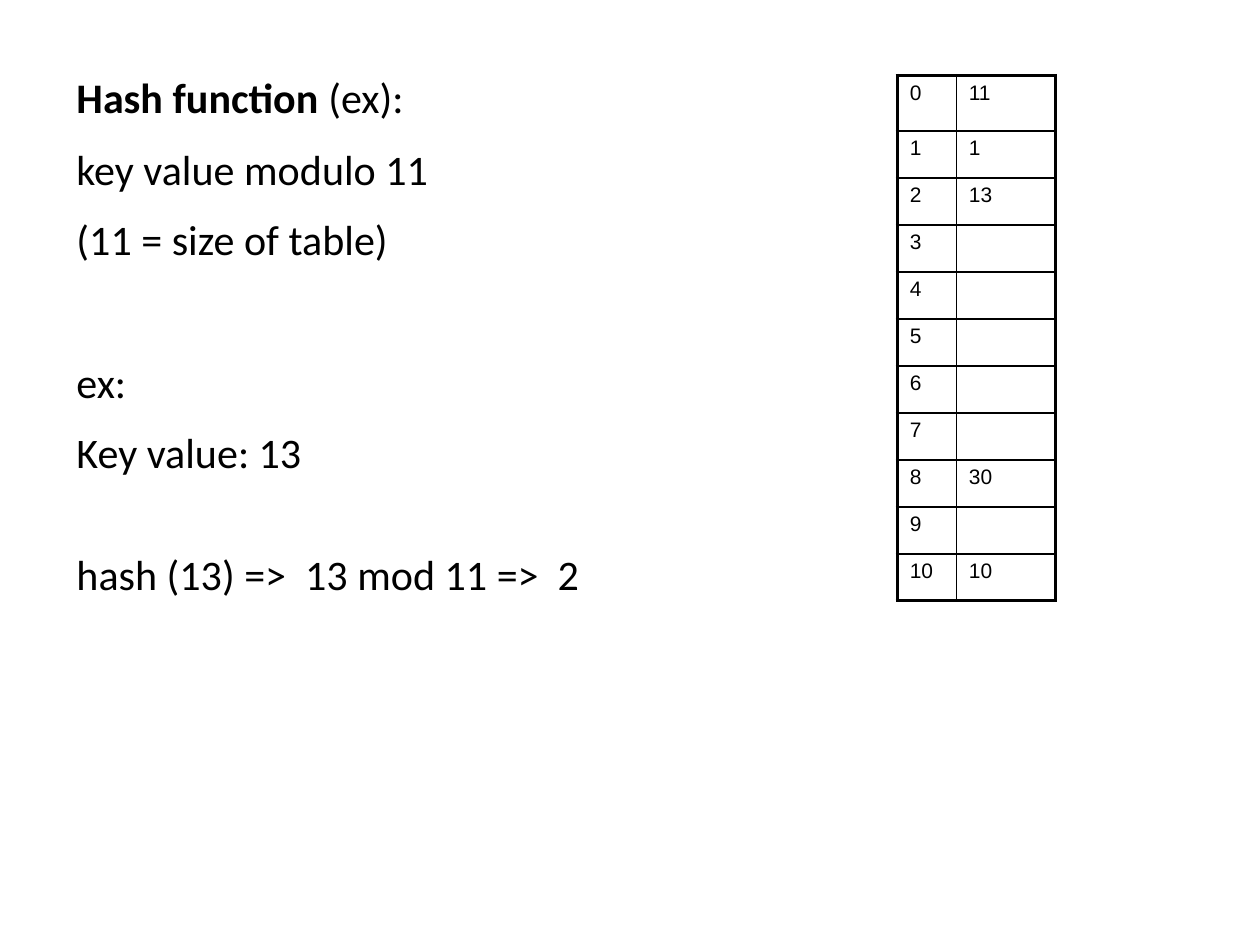
from dataclasses import dataclass

from lxml.etree import SubElement
from pptx import Presentation
from pptx.dml.color import RGBColor
from pptx.enum.text import MSO_ANCHOR, MSO_AUTO_SIZE, PP_ALIGN
from pptx.oxml.ns import qn
from pptx.util import Pt


@dataclass(frozen=True)
class Theme:
    ink: RGBColor = RGBColor(0, 0, 0)
    body_font: str = "Calibri"
    body_size: float = 26.1
    table_font: str = "Arial"
    table_size: float = 13
    thin: float = 1
    thick: float = 2.25


THEME = Theme()
LEFT, TOP, WIDTH, BOTTOM = 40.3, 41, 474.5, 396
GAP = 12.5
LINE = 31.9
BUCKETS = ["11", "1", "13", "", "", "", "", "", "30", "", "10"]
EXPLANATION = [
    ("key value modulo 11", 0),
    ("(11 = size of table)", GAP),
    ("ex:", LINE + 2 * GAP),
    ("Key value: 13", GAP),
    ("hash (13) =>  13 mod 11 =>  2", LINE + GAP),
]


def write(paragraph, text, font=THEME.body_font, size=THEME.body_size, bold=False, before=0):
    paragraph.alignment = PP_ALIGN.LEFT
    paragraph.space_before = Pt(before)
    run = paragraph.add_run()
    run.text = text
    run.font.name = font
    run.font.size = Pt(size)
    run.font.bold = bold
    run.font.color.rgb = THEME.ink


def place(placeholder, top, height):
    placeholder.left, placeholder.top = Pt(LEFT), Pt(top)
    placeholder.width, placeholder.height = Pt(WIDTH), Pt(height)
    frame = placeholder.text_frame
    frame.word_wrap = True
    frame.auto_size = MSO_AUTO_SIZE.NONE
    frame.vertical_anchor = MSO_ANCHOR.TOP
    return frame


def add_heading(slide):
    heading = place(slide.shapes.title, TOP, LINE + GAP).paragraphs[0]
    write(heading, "Hash function ", bold=True)
    write(heading, "(ex):")


def add_explanation(slide):
    top = TOP + LINE + GAP
    frame = place(slide.placeholders[1], top, BOTTOM - top)
    for index, (line, before) in enumerate(EXPLANATION):
        paragraph = frame.add_paragraph() if index else frame.paragraphs[0]
        write(paragraph, line, before=before)
        properties = paragraph._p.get_or_add_pPr()
        properties.set("marL", "0")
        properties.set("indent", "0")
        SubElement(properties, qn("a:buNone"))


def set_borders(cell, outer_sides):
    properties = cell._tc.get_or_add_tcPr()
    for side in "LRTB":
        width = THEME.thick if side in outer_sides else THEME.thin
        border = SubElement(properties, qn(f"a:ln{side}"), w=str(Pt(width)))
        fill = SubElement(border, qn("a:solidFill"))
        SubElement(fill, qn("a:srgbClr"), val=str(THEME.ink))


def fill_cell(cell, text, outer_sides):
    cell.margin_left = cell.margin_right = Pt(7.9)
    cell.margin_top = cell.margin_bottom = Pt(3.6)
    set_borders(cell, outer_sides)
    cell.fill.background()
    if text:
        write(cell.text_frame.paragraphs[0], text, font=THEME.table_font, size=THEME.table_size)


def add_hash_table(slide):
    column_widths = [36.7, 61.9]
    row_heights = [34.6] + [29.16] * (len(BUCKETS) - 1)
    table = slide.shapes.add_table(
        len(BUCKETS), 2, Pt(557.3), Pt(46.8), Pt(sum(column_widths)), Pt(sum(row_heights))
    ).table
    table.first_row = table.horz_banding = False
    for column, width in zip(table.columns, column_widths):
        column.width = Pt(width)
    for slot, (height, key) in enumerate(zip(row_heights, BUCKETS)):
        table.rows[slot].height = Pt(height)
        edge = {0: "T", len(BUCKETS) - 1: "B"}.get(slot, "")
        fill_cell(table.cell(slot, 0), str(slot), "L" + edge)
        fill_cell(table.cell(slot, 1), key, "R" + edge)


def main():
    deck = Presentation()
    deck.slide_width, deck.slide_height = Pt(782.64), Pt(586.8)
    slide = deck.slides.add_slide(deck.slide_layouts[1])
    add_heading(slide)
    add_explanation(slide)
    add_hash_table(slide)
    deck.save("out.pptx")


if __name__ == "__main__":
    main()
